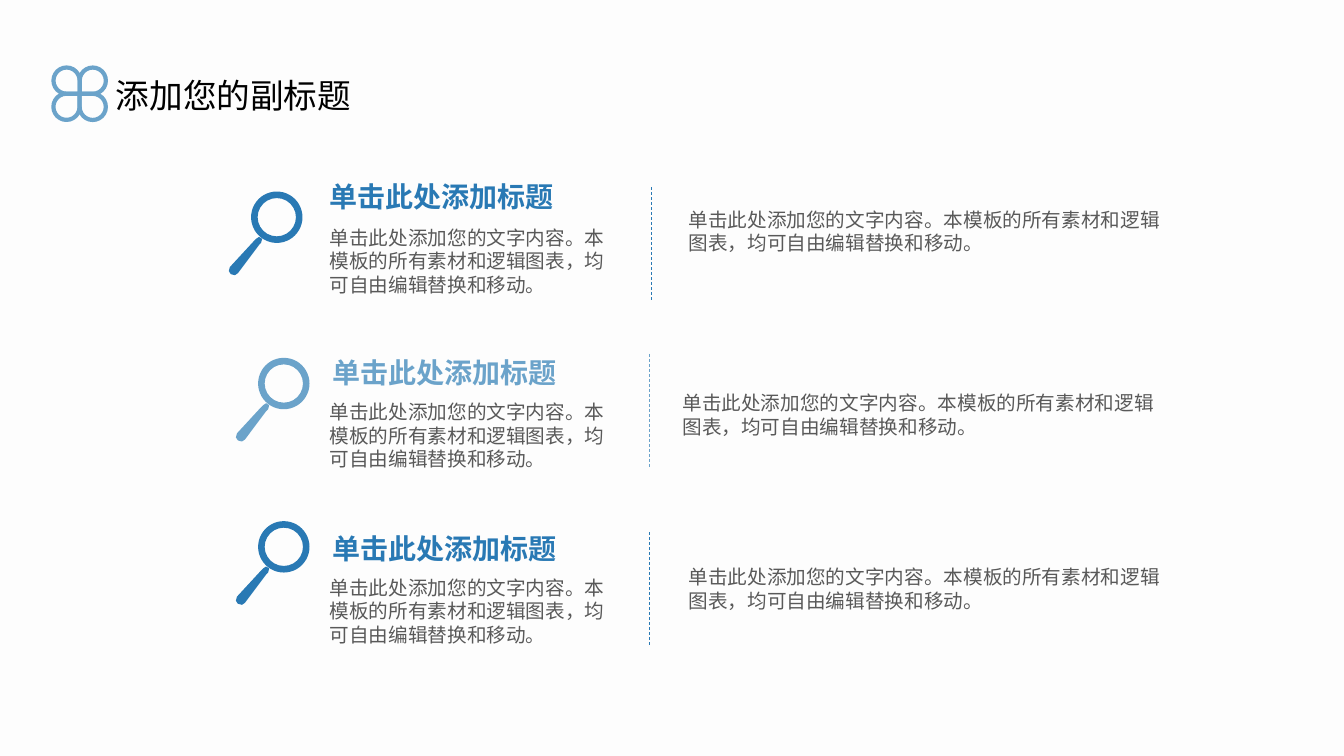
from dataclasses import dataclass

from lxml import etree
from pptx import Presentation
from pptx import util as u
from pptx.dml.color import RGBColor
from pptx.enum import dml, shapes, text
from pptx.oxml.ns import qn


@dataclass(frozen=True)
class Theme:
    font: str = "Noto Sans CJK SC"
    paper: str = "FDFDFD"
    blue: str = "2979B4"
    light: str = "6BA3CA"
    ink: str = "000000"
    grey: str = "595959"
    title: int = 24
    heading: int = 20
    body: int = 14


@dataclass(frozen=True)
class Row:
    """One entry: (left, top) of each part, in inches."""
    color: str
    icon: tuple
    heading: tuple
    body: tuple
    divider: tuple
    detail: tuple


T = Theme()
TITLE = "添加您的副标题"
HEADING = "单击此处添加标题"
BODY = "单击此处添加您的文字内容。本模板的所有素材和逻辑图表，均可自由编辑替换和移动。"
ROWS = [
    Row(T.blue, (2.49, 1.9), (3.17, 1.73), (3.17, 2.19), (6.46, 1.86), (6.73, 2.01)),
    Row(T.light, (2.56, 3.55), (3.2, 3.48), (3.17, 3.92), (6.44, 3.51), (6.67, 3.83)),
    Row(T.blue, (2.56, 5.17), (3.2, 5.22), (3.17, 5.66), (6.44, 5.28), (6.73, 5.56)),
]
LENS = 0.51
RIM = 0.065
# Handle outline, measured from the lens's top left corner
HANDLE = [(-0.21, 0.75), (0.03, 0.49), (0.05, 0.47), (0.08, 0.45), (0.11, 0.47),
          (0.1, 0.51), (0.08, 0.53), (-0.13, 0.81), (-0.16, 0.83), (-0.2, 0.82),
          (-0.22, 0.79)]
DIVIDER_HEIGHT = 1.12
PETAL = 0.26
CLOVER_CENTER = (0.79, 0.93)
# Column, row and turn that points each petal at the centre
PETALS = [(-1, -1, 90), (0, -1, 180), (0, 0, 270), (-1, 0, 0)]


def rgb(color):
    return RGBColor.from_string(color)


def box(left, top, width, height):
    return [u.Inches(v) for v in (left, top, width, height)]


def write(sp, content, size, color, bold=False, wrap=True):
    tf = sp.text_frame
    frame = dict(word_wrap=wrap, vertical_anchor=text.MSO_ANCHOR.TOP,
                 auto_size=text.MSO_AUTO_SIZE.SHAPE_TO_FIT_TEXT)
    for name, value in frame.items():
        setattr(tf, name, value)
    p = tf.paragraphs[0]
    p.alignment = text.PP_ALIGN.LEFT
    r = p.add_run()
    r.text = content
    for name, value in dict(name=T.font, size=u.Pt(size), bold=bold).items():
        setattr(r.font, name, value)
    r.font.color.rgb = rgb(color)
    etree.SubElement(r.font._element, qn("a:ea"), typeface=T.font)


def add_text(s, place, size, *args, **kwargs):
    write(s.shapes.add_textbox(*box(*place, *size)), *args, **kwargs)


def fill_only(sp, color):
    sp.shadow.inherit = False
    sp.fill.solid()
    sp.fill.fore_color.rgb = rgb(color)
    sp.line.fill.background()


def add_magnifier(s, left, top, color):
    lens = s.shapes.add_shape(shapes.MSO_SHAPE.DONUT, *box(left, top, LENS, LENS))
    lens.adjustments[0] = RIM / LENS
    points = [(u.Inches(left + x), u.Inches(top + y)) for x, y in HANDLE]
    outline = s.shapes.build_freeform(*points[0])
    outline.add_line_segments(points[1:], close=True)
    for sp in (lens, outline.convert_to_shape()):
        fill_only(sp, color)


def add_divider(s, x, top, color):
    line = s.shapes.add_connector(shapes.MSO_CONNECTOR.STRAIGHT, u.Inches(x), u.Inches(top),
                                  u.Inches(x), u.Inches(top + DIVIDER_HEIGHT))
    line.line.color.rgb = rgb(color)
    line.line.width = u.Pt(0.5)
    line.line.dash_style = dml.MSO_LINE.DASH
    etree.SubElement(line._element.spPr, qn("a:effectLst"))


def add_clover(s):
    x, y = CLOVER_CENTER
    for col, row, turn in PETALS:
        place = box(x + col * PETAL, y + row * PETAL, PETAL, PETAL)
        sp = s.shapes.add_shape(shapes.MSO_SHAPE.TEAR, *place)
        sp.rotation = turn
        sp.shadow.inherit = False
        sp.fill.background()
        sp.line.color.rgb = rgb(T.light)
        sp.line.width = u.Pt(3)


def add_title(s):
    sp = s.shapes.title
    sp.left, sp.top, sp.width, sp.height = box(1.05, 0.69, 2.72, 0.5)
    write(sp, TITLE, T.title, T.ink)


def add_row(s, row):
    add_magnifier(s, *row.icon, row.color)
    add_text(s, row.heading, (2.45, 0.44), HEADING, T.heading, row.color, bold=True, wrap=False)
    add_text(s, row.body, (3.05, 0.81), BODY, T.body, T.grey)
    add_divider(s, *row.divider, row.color)
    add_text(s, row.detail, (5.01, 0.57), BODY, T.body, T.grey)


def main():
    prs = Presentation()
    prs.slide_width, prs.slide_height = u.Inches(13.33), u.Inches(7.5)
    s = prs.slides.add_slide(prs.slide_layouts[5])
    s.background.fill.solid()
    s.background.fill.fore_color.rgb = rgb(T.paper)
    add_title(s)
    add_clover(s)
    for row in ROWS:
        add_row(s, row)
    prs.save("out.pptx")


if __name__ == "__main__":
    main()
